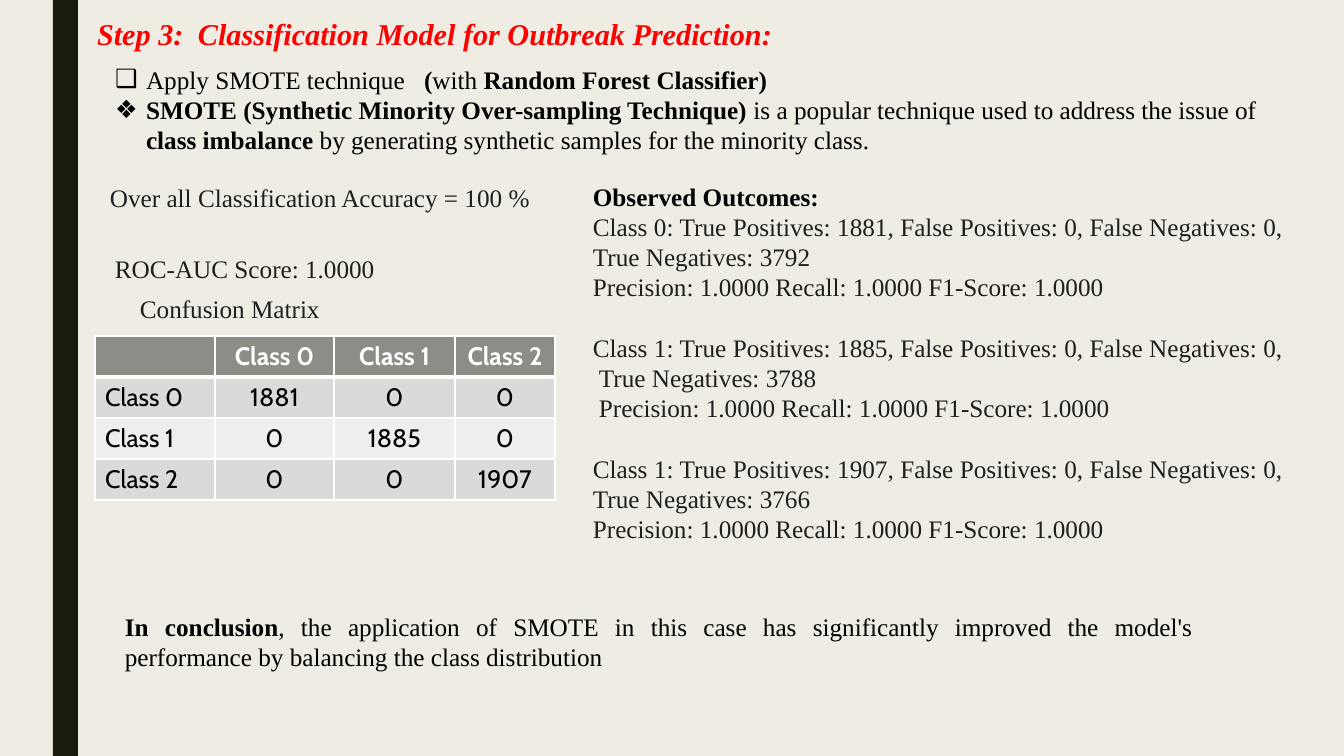
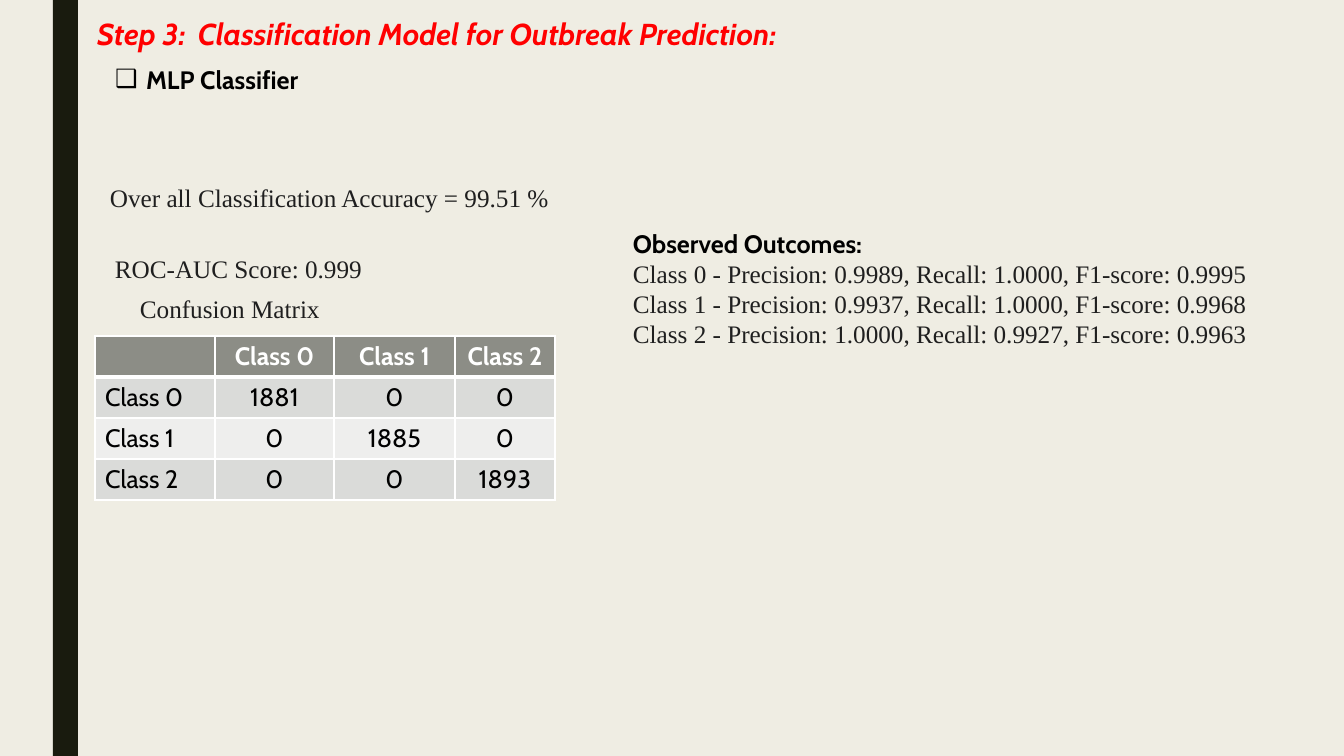
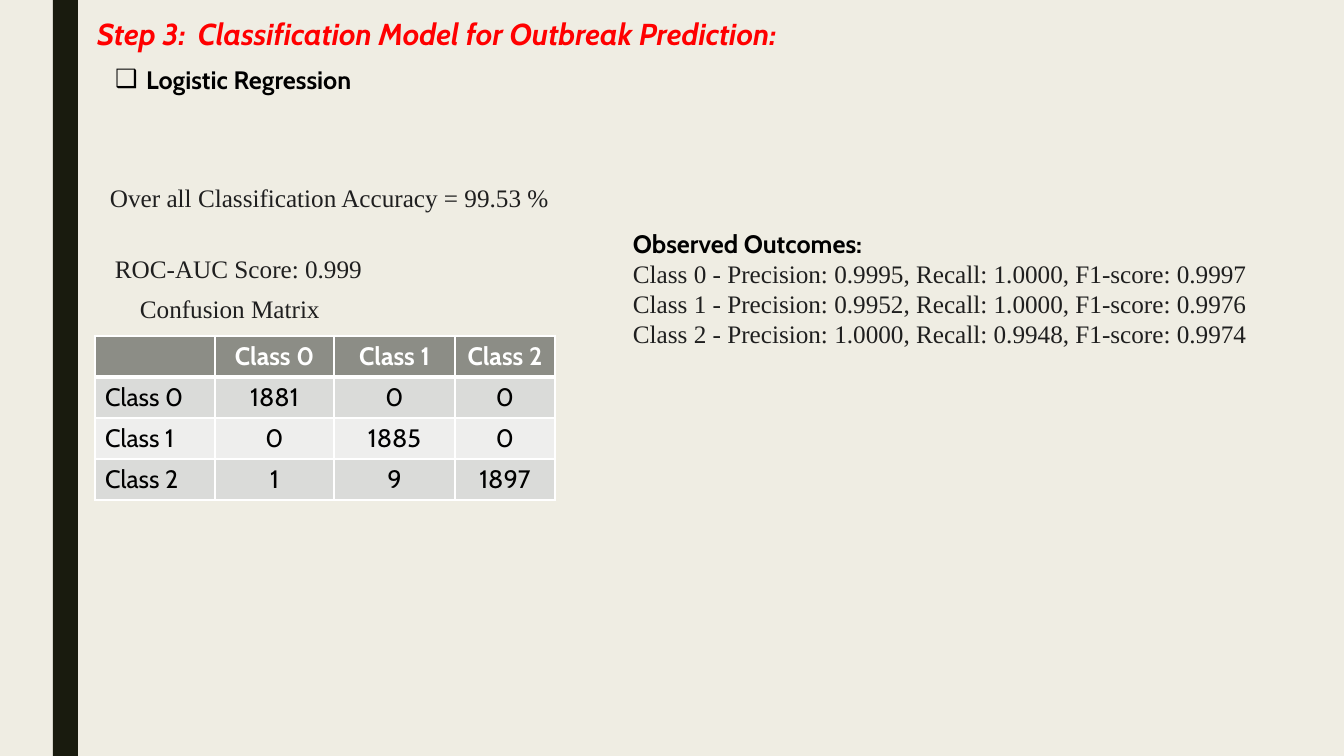
import pptx
import pptx.util
import pptx.dml.color
import pptx.enum.shapes
import pptx.enum.text
import pptx.oxml.ns
from lxml import etree

SERIF, SANS = "Times New Roman", "Cabin"
BLACK, GREY, WHITE, RED = "000000", "1F1F1F", "FFFFFF", "FF0000"
PAPER, BAND = "EFEDE3", "191B0E"
HEAD, ODD, EVEN = "8C8D86", "DADBD9", "EEEEED"
ALIGN = pptx.enum.text.PP_ALIGN
SCALE = 914400 / 100.8


def px(n):
    return pptx.util.Emu(round(n * SCALE))


def paint(fill, color):
    fill.solid()
    fill.fore_color.rgb = pptx.dml.color.RGBColor.from_string(color)


def node(parent, tag, **attrs):
    item = etree.SubElement(parent, pptx.oxml.ns.qn("a:" + tag))
    for key, value in attrs.items():
        item.set(key, str(value))
    return item


class Deck:
    def __init__(self):
        self.prs = pptx.Presentation()
        self.prs.slide_width, self.prs.slide_height = px(1344), px(756)
        self.layout = self.prs.slide_layouts[1]
        paint(self.prs.slide_master.background.fill, PAPER)
        self.slide = None

    def start(self, face):
        """Add a slide with its title; the first one also gives the layout its band."""
        first = self.slide is None
        self.slide = self.prs.slides.add_slide(self.layout)
        if first:
            self.band()
        title = self.slide.shapes.title
        frame = self.place(title, 87, 10, 737, 51)
        frame.vertical_anchor = pptx.enum.text.MSO_ANCHOR.MIDDLE
        par = frame.paragraphs[0]
        par.line_spacing = 0.89
        self.style(par, "Step 3:\tClassification Model for Outbreak Prediction:",
                   face, RED, True, 21.6)
        par.font.italic = True

    def band(self):
        kind = pptx.enum.shapes.MSO_SHAPE.RECTANGLE
        band = self.slide.shapes.add_shape(kind, px(53), 0, px(25), px(756))
        band.shadow.inherit = False
        paint(band.fill, BAND)
        band.line.fill.background()
        self.layout.shapes.element.append(band.element)

    def place(self, shape, x, y, w, h):
        shape.left, shape.top, shape.width, shape.height = map(px, (x, y, w, h))
        frame = shape.text_frame
        frame.word_wrap = True
        frame.auto_size = pptx.enum.text.MSO_AUTO_SIZE.NONE
        return frame

    def style(self, par, text, face=SERIF, color=GREY, bold=False, size=18,
              align=ALIGN.LEFT):
        """Text is a string, or a list of (words, bold) runs."""
        par.alignment = align
        font = par.font
        font.name, font.size = face, pptx.util.Pt(size)
        paint(font.fill, color)
        if isinstance(text, str):
            par.text = text
            font.bold = bold
            return
        for words, heavy in text:
            run = par.add_run()
            run.text = words
            run.font.bold = heavy

    def lines(self, frame, count):
        for _ in range(count - 1):
            frame.add_paragraph()
        return frame.paragraphs

    def bullets(self, items, face=SERIF, tab=None):
        """Items are (mark, text) pairs."""
        frame = self.place(self.slide.placeholders[1], 105, 59, 1171, 132)
        for par, (mark, text) in zip(self.lines(frame, len(items)), items):
            props = par._p.get_or_add_pPr()
            props.set("marL", str(px(31)))
            props.set("indent", str(-px(31)))
            node(props, "buChar", char=mark)
            if tab:
                node(node(props, "tabLst"), "tab", pos=px(tab), algn="l")
            par.space_before = pptx.util.Pt(0)
            self.style(par, text, face, BLACK, True)

    def text(self, x, y, w, h, *rows, align=ALIGN.LEFT):
        """Rows are (text, look) pairs; look may add gap, left and first."""
        box = self.slide.shapes.add_textbox(0, 0, 0, 0)
        frame = self.place(box, x, y, w, h)
        for par, (text, look) in zip(self.lines(frame, len(rows)), rows):
            look = dict(look)
            props = par._p.get_or_add_pPr()
            props.set("marL", str(px(look.pop("left", 0))))
            props.set("indent", str(px(look.pop("first", 0))))
            par.space_before = pptx.util.Pt(look.pop("gap", 0))
            self.style(par, text, align=align, **look)

    def edge(self, cell, side, width):
        line = node(cell._tc.get_or_add_tcPr(), "ln" + side,
                    w=pptx.util.Pt(width))
        node(node(line, "solidFill"), "srgbClr", val=WHITE)

    def matrix(self, values):
        names = [f"Class {n}" for n in range(3)]
        rows = [["", *names]] + [[name, *row] for name, row in zip(names, values)]
        table = self.slide.shapes.add_table(
            4, 4, px(95), px(336), px(460), px(164)).table
        for col, width in zip(table.columns, (120, 119, 121, 100)):
            col.width = px(width)
        for r, row in enumerate(rows):
            table.rows[r].height = px(41)
            for c, value in enumerate(row):
                cell = table.cell(r, c)
                top = r == 0
                for side in "LRTB" if top else "LRB":
                    self.edge(cell, side, 3 if top and side == "B" else 1)
                paint(cell.fill, HEAD if top else ODD if r % 2 else EVEN)
                self.style(cell.text_frame.paragraphs[0], str(value), SANS,
                           WHITE if top else BLACK, top,
                           align=ALIGN.CENTER if c or top else ALIGN.LEFT)

    def scores(self, rate, roc, values):
        self.text(100, 177, 483, 40,
                  (f"Over all Classification Accuracy = {rate} %", {}))
        self.text(105, 248, 319, 40, (f"ROC-AUC Score: {roc}", {}))
        self.text(130, 288, 267, 40, ("Confusion Matrix", {}))
        self.matrix(values)

    def outcome(self, x, y, w, h, face, rows):
        head = ("Observed Outcomes:", dict(face=face, color=BLACK, bold=True))
        self.text(x, y, w, h, head, *rows, align=ALIGN.JUSTIFY)


def main():
    deck = Deck()

    # SMOTE with random forest
    deck.start(SERIF)
    deck.bullets([
        ("❑", [("Apply SMOTE technique\t", False), ("(", True), ("with ", False),
               ("Random Forest Classifier)", True)]),
        ("❖", [("SMOTE (Synthetic Minority Over-sampling Technique)", True),
               (" is a popular technique used to address the issue of ", False),
               ("class imbalance", True),
               (" by generating synthetic samples for the minority class.", False)]),
    ], tab=309)
    deck.scores("100", "1.0000", [(1881, 0, 0), (0, 1885, 0), (0, 0, 1907)])
    rows = []
    for name, hits, rest, gap, left in ((0, 1881, 3792, 0, 0),
                                        (1, 1885, 3788, 21.6, 6),
                                        (1, 1907, 3766, 21.6, 0)):
        rows += [
            (f"Class {name}: True Positives: {hits}, False Positives: 0, "
             f"False Negatives: 0, True Negatives: {rest}",
             dict(gap=gap, left=left, first=-left)),
            ("Precision: 1.0000 Recall: 1.0000 F1-Score: 1.0000", dict(left=left)),
        ]
    deck.outcome(583, 176, 710, 407, SERIF, rows)
    deck.text(115, 606, 1088, 72, (
        [("In conclusion", True),
         (", the application of SMOTE in this case has significantly improved the "
          "model's performance by balancing the class distribution", False)],
        dict(color=BLACK)), align=ALIGN.JUSTIFY)

    # Other classifiers
    models = [
        ("MLP Classifier", "99.51", (0, 0, 1893),
         [("0.9989", "1.0000", "0.9995"), ("0.9937", "1.0000", "0.9968"),
          ("1.0000", "0.9927", "0.9963")]),
        ("Logistic Regression", "99.53", (1, 9, 1897),
         [("0.9995", "1.0000", "0.9997"), ("0.9952", "1.0000", "0.9976"),
          ("1.0000", "0.9948", "0.9974")]),
    ]
    for name, rate, last, marks in models:
        deck.start(SANS)
        deck.bullets([("❑", name)], SANS)
        deck.scores(rate, "0.999", [(1881, 0, 0), (0, 1885, 0), last])
        deck.outcome(623, 223, 648, 132, SANS, [
            (f"Class {n} - Precision: {p}, Recall: {r}, F1-score: {f}", {})
            for n, (p, r, f) in enumerate(marks)])

    deck.prs.save("out.pptx")


if __name__ == "__main__":
    main()
